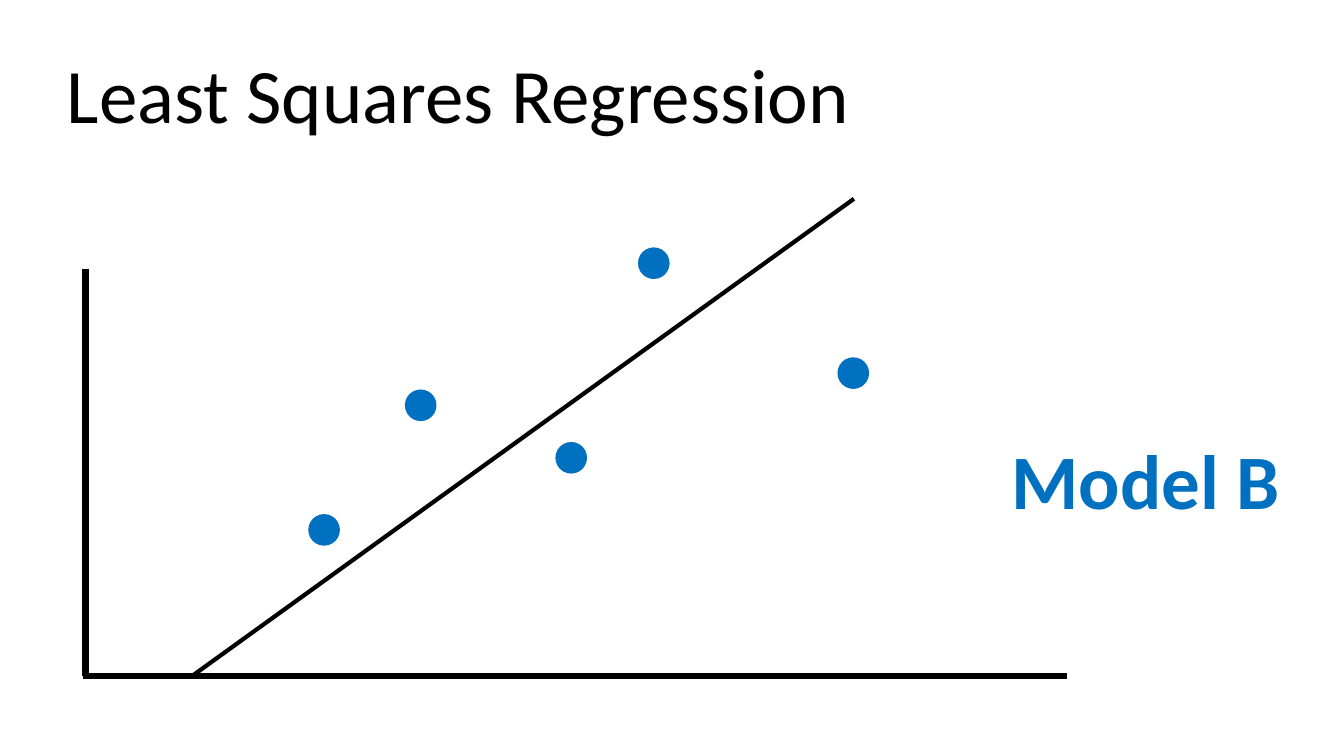
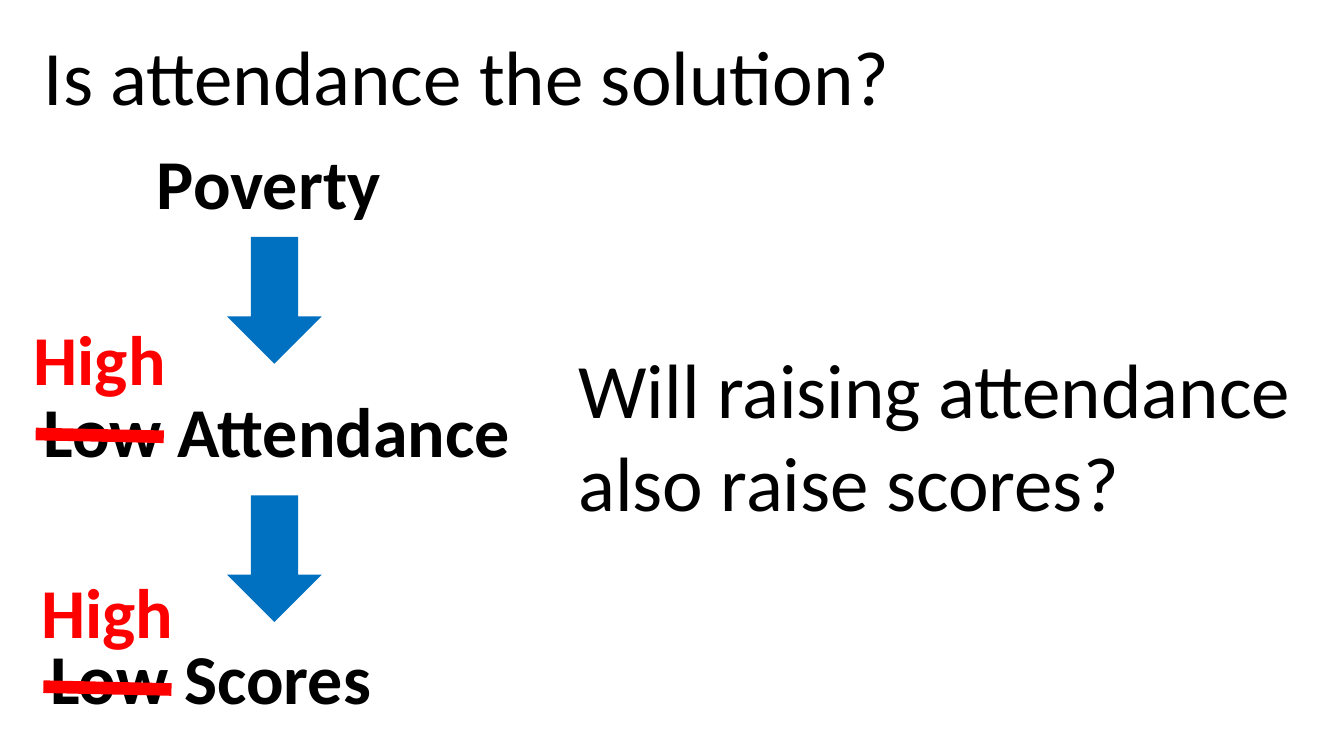
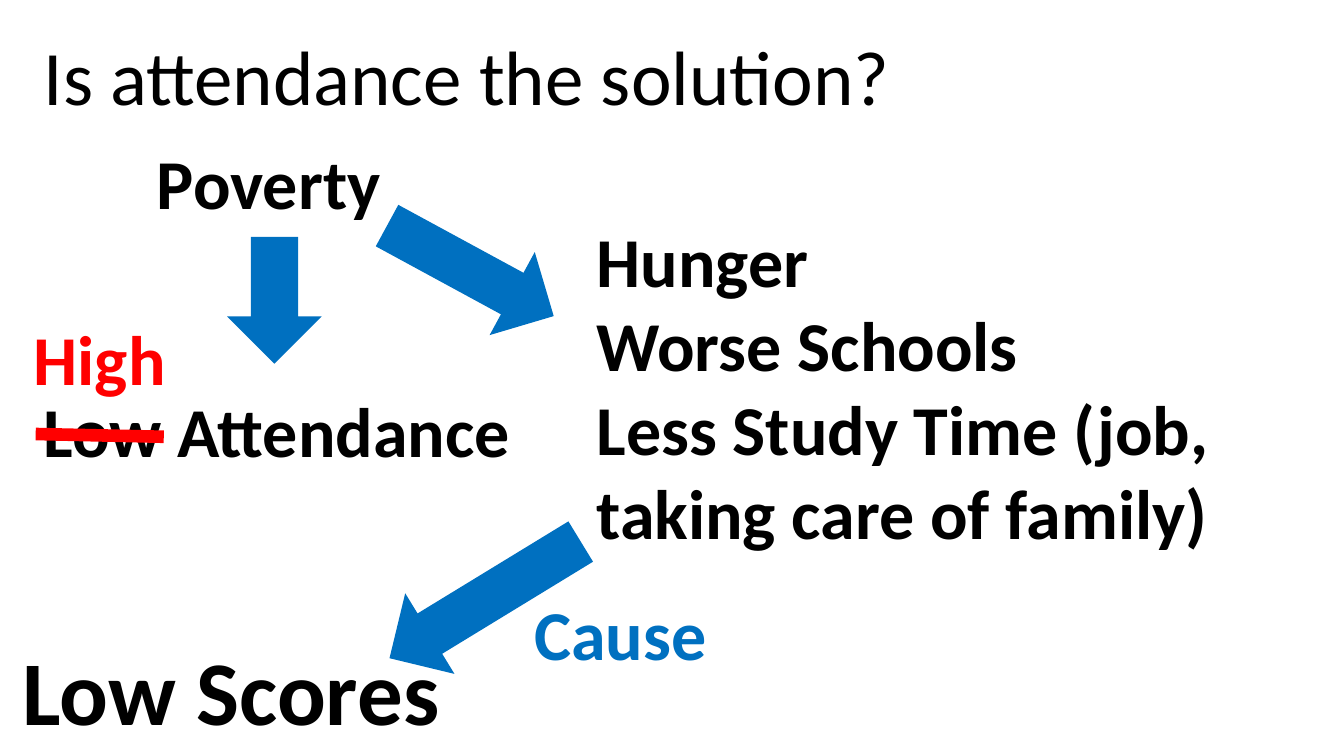
from dataclasses import dataclass

from lxml.etree import SubElement
from pptx import Presentation
from pptx.dml.color import RGBColor as Rgb
from pptx.enum.shapes import MSO_CONNECTOR as Link, MSO_SHAPE as Form
from pptx.enum.text import MSO_ANCHOR as Anchor, MSO_AUTO_SIZE as Fit, PP_ALIGN as Align
from pptx.oxml.ns import qn
from pptx.util import Pt


@dataclass(frozen=True)
class Theme:
    font: str = "Calibri"
    ink: Rgb = Rgb(0, 0, 0)
    blue: Rgb = Rgb(0x00, 0x70, 0xC0)
    red: Rgb = Rgb(0xFF, 0, 0)
    head: float = 55
    body: float = 50
    big: float = 65
    axis: float = 4.5
    trend: float = 3
    strike: float = 9
    dot: float = 22.6
    arrow: float = 67.5


T = Theme()


def fill_text(shape, lines, size, color, bold, align):
    frame = shape.text_frame
    frame.word_wrap = True
    frame.auto_size = Fit.NONE
    frame.vertical_anchor = Anchor.TOP
    frame.text = "\n".join(lines)
    for par in frame.paragraphs:
        par.alignment = align
        font = par.font
        font.name, font.size, font.bold = T.font, Pt(size), bold
        font.color.rgb = color


def text(slide, box, *lines, size=T.body, color=T.ink, bold=True, align=Align.LEFT):
    shape = slide.shapes.add_textbox(*map(Pt, box))
    fill_text(shape, lines, size, color, bold, align)


def title(slide, box, words):
    shape = slide.shapes.title
    shape.left, shape.top, shape.width, shape.height = map(Pt, box)
    fill_text(shape, [words], T.head, T.ink, False, Align.LEFT)


def line(shapes, start, end, color, width):
    link = shapes.add_connector(Link.STRAIGHT, *map(Pt, (*start, *end)))
    link.line.color.rgb = color
    link.line.width = Pt(width)
    SubElement(link._element.spPr, qn("a:effectLst"))


def solid(shapes, form, box, color):
    shape = shapes.add_shape(form, *map(Pt, box))
    shape.shadow.inherit = False
    shape.fill.solid()
    shape.fill.fore_color.rgb = color
    shape.line.fill.background()
    return shape


def arrow(slide, mid, span, turn):
    """Place a block arrow by its centre, length and angle."""
    x, y = mid
    box = x - span / 2, y - T.arrow / 2, span, T.arrow
    solid(slide.shapes, Form.RIGHT_ARROW, box, T.blue).rotation = turn


def plot(slide, box, dots, trend):
    """Draw axes, dots and a trend line, measured from the box's top left."""
    x, y, w, h = box
    group = slide.shapes.add_group_shape().shapes
    line(group, (x, y), (x, y + h), T.ink, T.axis)
    line(group, (x + w, y + h), (x - 1.5, y + h), T.ink, T.axis)
    for dx, dy in dots:
        spot = x + dx - T.dot / 2, y + dy - T.dot / 2, T.dot, T.dot
        solid(group, Form.OVAL, spot, T.blue)
    ends = [(x + dx, y + dy) for dx, dy in trend]
    line(slide.shapes, *ends, T.ink, T.trend)


def flip(slide, x, y):
    """Strike out a "Low" and write "High" above it."""
    line(slide.shapes, (x + 14, y + 88), (x + 105.5, y + 90), T.red, T.strike)
    text(slide, (x, y, 119.5, 67.5), "High", color=T.red, align=Align.CENTER)


def chain(slide, x, y):
    """Poverty leading to attendance, with the latter flipped."""
    text(slide, (x + 81, y, 181, 67.5), "Poverty")
    arrow(slide, (x + 172, y + 118.5), 90.5, 90)
    text(slide, (x, y + 177, 364, 67.5), "Low Attendance")
    flip(slide, x - 12.5, y + 126)


def ask(slide):
    title(slide, (24, 16.5, 640, 74), "Is attendance the solution?")
    chain(slide, 24, 96)


def model(slide):
    title(slide, (40.5, 29.5, 626, 74), "Least Squares Regression")
    plot(
        slide,
        (61, 192, 701.5, 291),
        [(347, 135), (170.5, 186.5), (548.5, 74.5), (239.5, 97.5), (406, -4)],
        [(76, 291), (549, -50)],
    )
    text(slide, (715.5, 305.5, 218, 74), "Model B", size=T.head, color=T.blue)


def raised(slide):
    ask(slide)
    arrow(slide, (196, 399), 90.5, 90)
    text(slide, (0, 450, 301, 67.5), "Low Scores", align=Align.CENTER)
    flip(slide, 17, 402.5)
    text(slide, (406, 240.5, 528, 140.5), "Will raising attendance also raise scores?",
         size=T.head, bold=False)


def causes(slide):
    ask(slide)
    text(slide, (0, 450, 330, 85.5), "Low Scores", size=T.big, align=Align.CENTER)
    arrow(slide, (336, 193.5), 135.5, 28.5)
    text(slide, (419, 152, 526.5, 250), "Hunger", "Worse Schools",
         "Less Study Time (job, taking care of family)")
    arrow(slide, (346.5, 428.5), 160, 148.6)
    text(slide, (374.5, 418.5, 276, 67.5), "Cause", color=T.blue)


def main():
    deck = Presentation()
    deck.slide_width, deck.slide_height = Pt(960), Pt(540)
    plain = deck.slide_layouts.get_by_name("Title Only")
    for build in (model, raised, causes):
        build(deck.slides.add_slide(plain))
    deck.save("out.pptx")


if __name__ == "__main__":
    main()
